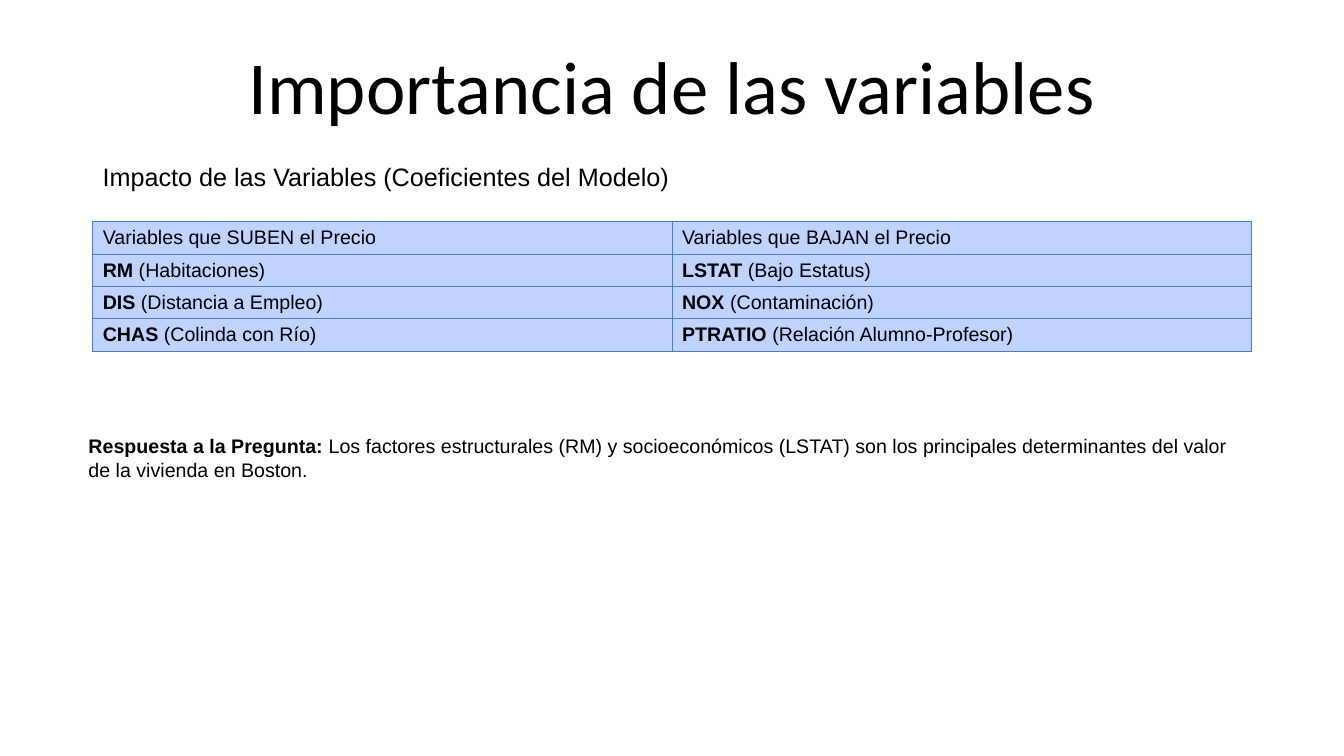
import pptx
import pptx.dml.color
import pptx.enum.text
import pptx.oxml
import pptx.oxml.ns
import pptx.util

Pt = pptx.util.Pt
COLORS = {"text": "000000", "cell": "C0D3FF", "border": "4B7EBC"}


def add_run(paragraph, text, size, bold=False, font="Arial"):
    run = paragraph.add_run()
    run.text = text
    run.font.name = font
    run.font.size = Pt(size)
    run.font.bold = bold
    run.font.color.rgb = pptx.dml.color.RGBColor.from_string(COLORS["text"])


def add_text_box(left, top, width, height):
    """Add a wrapping text box and return its first paragraph."""
    frame = slide.shapes.add_textbox(Pt(left), Pt(top), Pt(width), Pt(height)).text_frame
    frame.word_wrap = True
    return frame.paragraphs[0]


presentation = pptx.Presentation()
presentation.slide_width = Pt(960.48)
presentation.slide_height = Pt(540)
slide = presentation.slides.add_slide(presentation.slide_layouts[5])

# Title
title = slide.shapes.title
title.left, title.top, title.width, title.height = Pt(48), Pt(21.6), Pt(864), Pt(90)
title.text_frame.auto_size = pptx.enum.text.MSO_AUTO_SIZE.NONE
title.text_frame.vertical_anchor = pptx.enum.text.MSO_ANCHOR.MIDDLE
title_paragraph = title.text_frame.paragraphs[0]
title_paragraph.alignment = pptx.enum.text.PP_ALIGN.CENTER
title_paragraph.line_spacing = 0.8
add_run(title_paragraph, "Importancia de las variables", 53.4, font="Calibri")

# Table of variables: each cell is a bold part and a regular part
rows = [
    [("", "Variables que SUBEN el Precio"), ("", "Variables que BAJAN el Precio")],
    [("RM", " (Habitaciones)"), ("LSTAT", " (Bajo Estatus)")],
    [("DIS", " (Distancia a Empleo)"), ("NOX", " (Contaminación)")],
    [("CHAS", " (Colinda con Río)"), ("PTRATIO", " (Relación Alumno-Profesor)")],
]
row_height = 23.1
table = slide.shapes.add_table(
    len(rows), 2, Pt(66.24), Pt(158.4), Pt(828), Pt(row_height * len(rows))
).table
table.first_row = False
table.horz_banding = False

for row_index, row in enumerate(rows):
    table.rows[row_index].height = Pt(row_height)
    for column_index, (variable, description) in enumerate(row):
        cell = table.cell(row_index, column_index)
        cell.vertical_anchor = pptx.enum.text.MSO_ANCHOR.MIDDLE
        paragraph = cell.text_frame.paragraphs[0]
        if variable:
            add_run(paragraph, variable, 14, bold=True)
        add_run(paragraph, description, 14)
        properties = cell._tc.get_or_add_tcPr()
        for side in ("lnL", "lnR", "lnT", "lnB"):
            properties.append(pptx.oxml.parse_xml(
                f'<a:{side} {pptx.oxml.ns.nsdecls("a")} w="{Pt(0.75)}"><a:solidFill>'
                f'<a:srgbClr val="{COLORS["border"]}"/></a:solidFill></a:{side}>'
            ))
        cell.fill.solid()
        cell.fill.fore_color.rgb = pptx.dml.color.RGBColor.from_string(COLORS["cell"])

# Subtitle and answer
subtitle = add_text_box(66.24, 111.6, 480.24, 28.8)
add_run(subtitle, "Impacto de las Variables (Coeficientes del Modelo)", 18)

answer = add_text_box(56.16, 306.72, 838.08, 41.04)
add_run(answer, "Respuesta a la Pregunta:", 14, bold=True)
add_run(
    answer,
    " Los factores estructurales (RM) y socioeconómicos (LSTAT) son los principales "
    "determinantes del valor de la vivienda en Boston.",
    14,
)

presentation.save("out.pptx")
